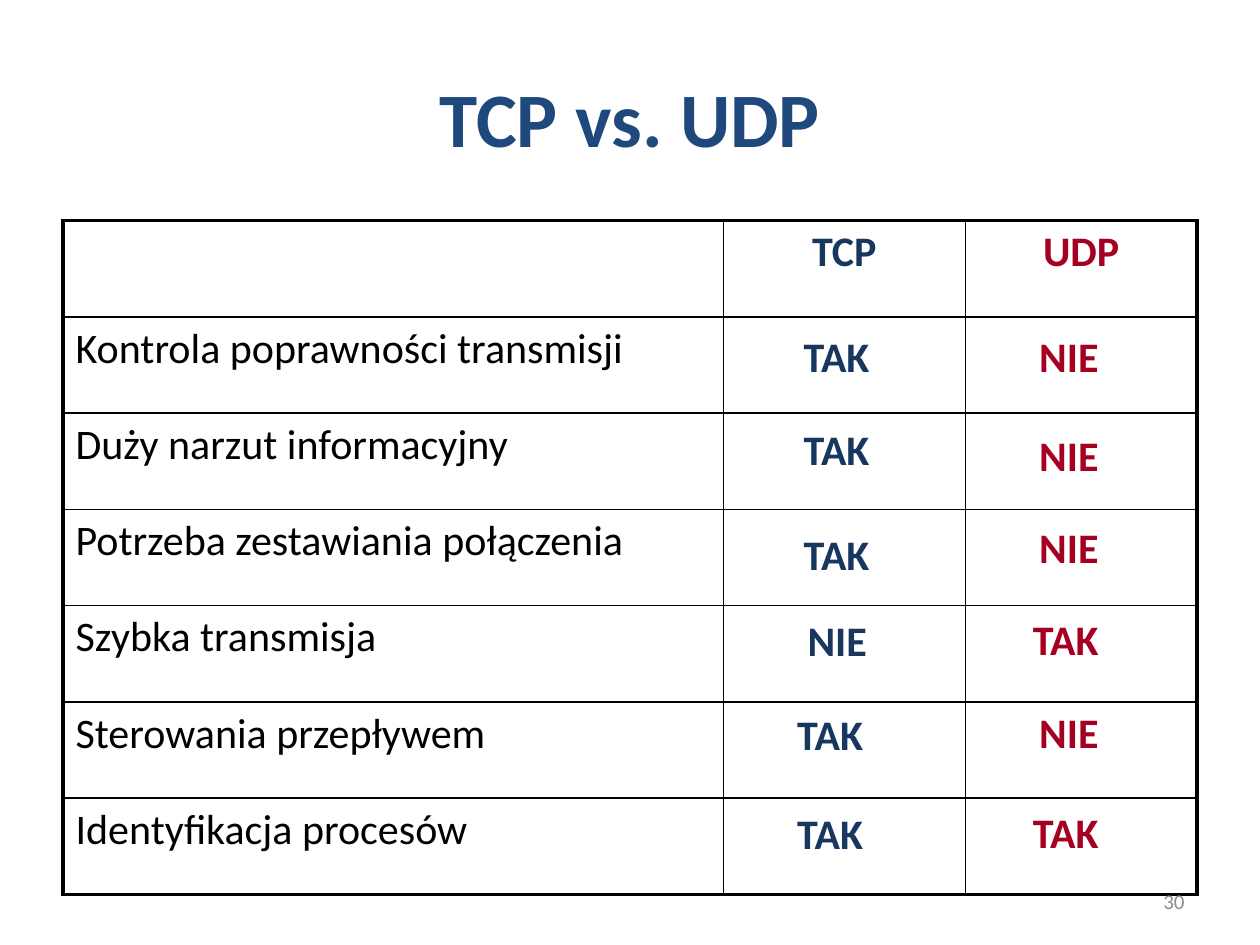
from lxml import etree
from pptx import Presentation
from pptx.dml.color import RGBColor
from pptx.enum.text import MSO_ANCHOR, MSO_AUTO_SIZE, PP_ALIGN
from pptx.oxml.ns import qn
from pptx.util import Cm, Pt

LEFT, CENTER, RIGHT = PP_ALIGN.LEFT, PP_ALIGN.CENTER, PP_ALIGN.RIGHT
MIDDLE = MSO_ANCHOR.MIDDLE
GROW = MSO_AUTO_SIZE.SHAPE_TO_FIT_TEXT
COLORS = {"title": "1F497D", "tcp": "17375E", "udp": "A50021",
          "text": "000000", "number": "8C8C8C"}
THIN, THICK = Pt(1), Pt(2.25)


def write_text(frame, text, color, size=24, bold=True, align=LEFT):
    para = frame.paragraphs[0]
    para.alignment = align
    span = para.add_run()
    span.text = text
    for name, value in {"name": "Calibri", "size": Pt(size), "bold": bold}.items():
        setattr(span.font, name, value)
    span.font.color.rgb = RGBColor.from_string(COLORS[color])


def set_borders(cell, widths):
    cell.fill.background()
    props = cell._tc.get_or_add_tcPr()
    for index, (side, width) in enumerate(widths.items()):
        line = etree.Element(qn("a:" + side), w=str(width))
        fill = etree.SubElement(line, qn("a:solidFill"))
        etree.SubElement(fill, qn("a:srgbClr"), val=COLORS["text"])
        props.insert(index, line)


deck = Presentation()
deck.slide_width, deck.slide_height = Cm(25.4), Cm(19.05)
page = deck.slides.add_slide(deck.slide_layouts[5])

# Title
title = page.shapes.title
for name, value in {"left": 1.27, "top": 0.76, "width": 22.86, "height": 3.18}.items():
    setattr(title, name, Cm(value))
title.text_frame.vertical_anchor = MIDDLE
write_text(title.text_frame, "TCP vs. UDP", "title", size=44, align=CENTER)

# Comparison table
features = ["Kontrola poprawności transmisji", "Duży narzut informacyjny",
            "Potrzeba zestawiania połączenia", "Szybka transmisja",
            "Sterowania przepływem", "Identyfikacja procesów"]
column_widths = [13.31, 4.88, 4.67]
last_row, last_column = len(features), len(column_widths) - 1
table = page.shapes.add_table(last_row + 1, last_column + 1, Cm(1.27), Cm(4.45),
                              Cm(22.86), Cm(13.59)).table
table.first_row = table.horz_banding = False
for column, width in zip(table.columns, column_widths):
    column.width = Cm(width)
for r, row in enumerate(table.rows):
    row.height = Cm(1.94)
    for c, cell in enumerate(row.cells):
        set_borders(cell, {"lnL": THICK if c == 0 else THIN,
                           "lnR": THICK if c == last_column else THIN,
                           "lnT": THICK if r == 0 else THIN,
                           "lnB": THICK if r == last_row else THIN})
for c, heading in enumerate(["TCP", "UDP"], start=1):
    write_text(table.cell(0, c).text_frame, heading, heading.lower(), align=CENTER)
for r, feature in enumerate(features, start=1):
    write_text(table.cell(r, 0).text_frame, feature, "text", bold=False)

# Answers: text, left, top
answers = {
    "tcp": [("TAK", 15.95, 6.53), ("TAK", 15.95, 8.41), ("TAK", 15.95, 10.52),
            ("NIE", 16.03, 12.27), ("TAK", 15.82, 14.15), ("TAK", 15.82, 16.15)],
    "udp": [("NIE", 20.7, 6.53), ("NIE", 20.7, 8.53), ("NIE", 20.7, 10.39),
            ("TAK", 20.57, 12.24), ("NIE", 20.7, 14.12), ("TAK", 20.57, 16.13)],
}
answer_widths = {"TAK": 1.85, "NIE": 1.73}
for protocol, entries in answers.items():
    for text, left, top in entries:
        box = page.shapes.add_textbox(Cm(left), Cm(top), Cm(answer_widths[text]), Cm(1.27))
        box.text_frame.word_wrap = False
        box.text_frame.auto_size = GROW
        write_text(box.text_frame, text, protocol)

# Page number
number = page.shapes.add_textbox(Cm(18.21), Cm(17.65), Cm(5.92), Cm(1.02))
number.text_frame.word_wrap = True
number.text_frame.vertical_anchor = MIDDLE
write_text(number.text_frame, "30", "number", size=12, bold=False, align=RIGHT)

deck.save("out.pptx")
